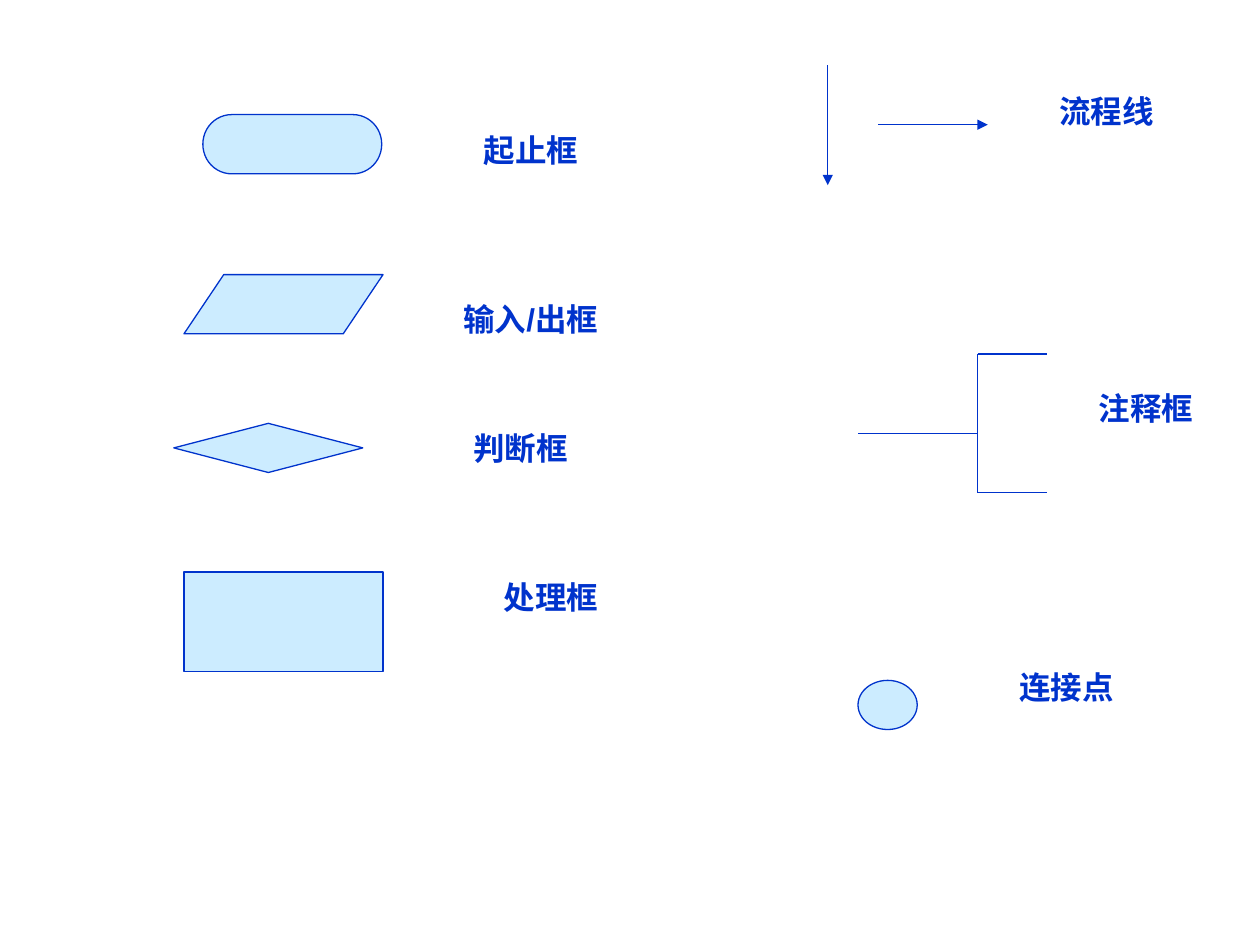
from lxml.etree import SubElement
from pptx import Presentation
from pptx.dml.color import RGBColor
from pptx.enum.shapes import MSO_CONNECTOR, MSO_SHAPE
from pptx.enum.text import MSO_AUTO_SIZE
from pptx.oxml.ns import qn
from pptx.util import Inches, Pt

BLUE = RGBColor(0x00, 0x33, 0xCC)
PALE = RGBColor(0xCC, 0xEC, 0xFF)
FONT = {"name": "Arial", "size": Pt(18), "bold": True}
FRAME = {
    "word_wrap": True,
    "auto_size": MSO_AUTO_SIZE.SHAPE_TO_FIT_TEXT,
    "margin_left": Inches(0.1),
    "margin_right": Inches(0.1),
    "margin_top": Inches(0.05),
    "margin_bottom": Inches(0.05),
}
SYMBOLS = [
    (MSO_SHAPE.OVAL, 6.81, 5.4, 0.47, 0.39),
    (MSO_SHAPE.FLOWCHART_TERMINATOR, 1.61, 0.91, 1.42, 0.47),
    (MSO_SHAPE.FLOWCHART_DATA, 1.46, 2.18, 1.58, 0.47),
    (MSO_SHAPE.FLOWCHART_DECISION, 1.38, 3.36, 1.5, 0.39),
    (MSO_SHAPE.FLOWCHART_PROCESS, 1.46, 4.54, 1.58, 0.79),
]
FLOW_LINES = [(6.97, 0.99, 7.84, 0.99), (6.57, 0.52, 6.57, 1.47)]
NOTE_LINES = [
    (6.81, 3.44, 7.76, 3.44),
    (7.76, 2.81, 8.31, 2.81),
    (7.76, 2.81, 7.76, 3.91),
    (7.76, 3.91, 8.31, 3.91),
]
LABELS = [
    ("起止框", 3.74, 0.99, 2.36),
    ("输入/出框", 3.58, 2.33, 1.49),
    ("判断框", 3.66, 3.36, 1.34),
    ("处理框", 3.9, 4.54, 1.42),
    ("流程线", 8.31, 0.68, 1.18),
    ("注释框", 8.62, 3.04, 1.02),
    ("连接点", 7.99, 5.25, 1.42),
]


def set_values(target, values):
    for name, value in values.items():
        setattr(target, name, value)


def set_line(shape):
    shape.line.color.rgb = BLUE
    shape.line.width = Pt(0.75)


def add_symbol(s, kind, *box):
    sp = s.shapes.add_shape(kind, *map(Inches, box))
    sp.shadow.inherit = False
    sp.fill.solid()
    sp.fill.fore_color.rgb = PALE
    set_line(sp)


def add_line(s, ends, arrow=False):
    cxn = s.shapes.add_connector(MSO_CONNECTOR.STRAIGHT, *map(Inches, ends))
    set_line(cxn)
    if arrow:
        SubElement(cxn.line._get_or_add_ln(), qn("a:tailEnd"), type="triangle")
    SubElement(cxn._element.spPr, qn("a:effectLst"))


def add_label(s, text, left, top, width):
    sp = s.shapes.add_textbox(*map(Inches, (left, top, width, 0.4)))
    tf = sp.text_frame
    set_values(tf, FRAME)
    r = tf.paragraphs[0].add_run()
    r.text = text
    set_values(r.font, FONT)
    r.font.color.rgb = BLUE


def main():
    prs = Presentation()
    prs.slide_width, prs.slide_height = Inches(10), Inches(7.5)
    s = prs.slides.add_slide(prs.slide_layouts[6])
    for symbol in SYMBOLS:
        add_symbol(s, *symbol)
    for ends in FLOW_LINES:
        add_line(s, ends, arrow=True)
    for ends in NOTE_LINES:
        add_line(s, ends)
    for label in LABELS:
        add_label(s, *label)
    prs.save("out.pptx")


if __name__ == "__main__":
    main()
